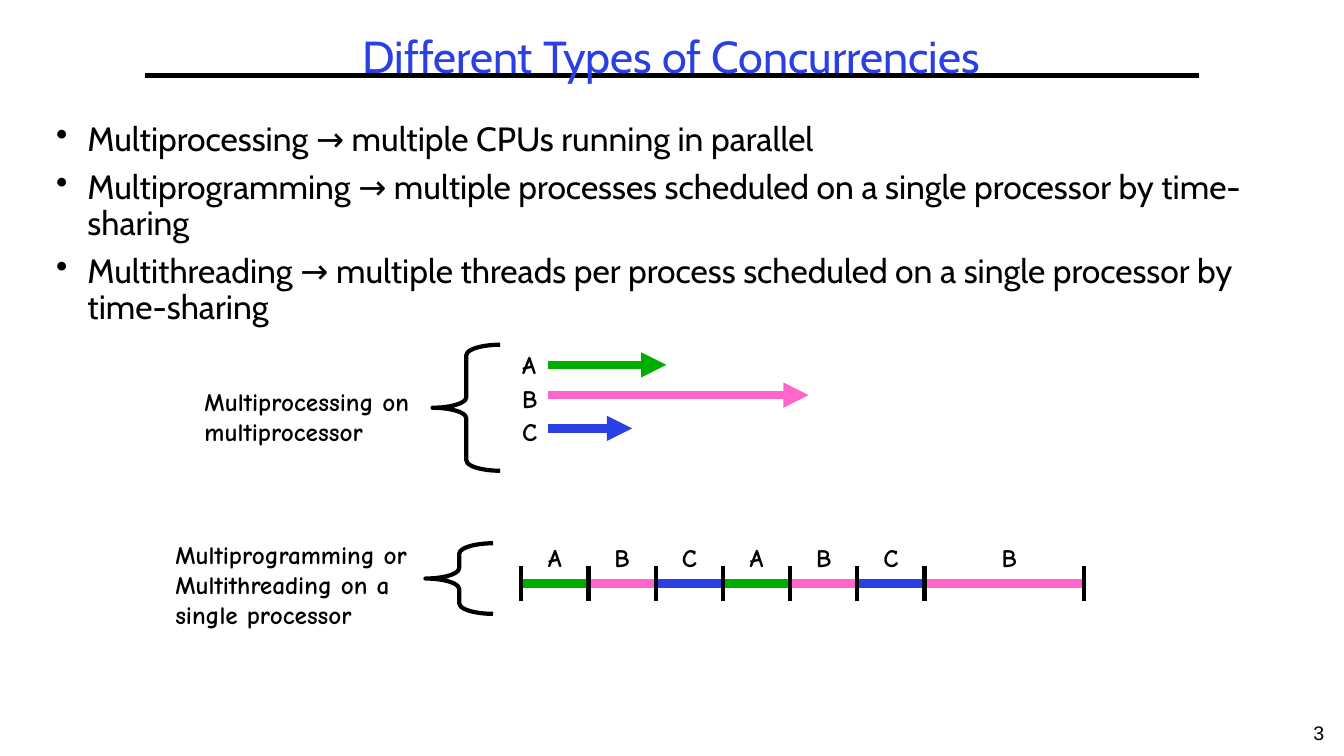
"""Build the slide on the different types of concurrencies."""
import pptx
import pptx.util
import pptx.dml.color
import pptx.enum.shapes
import pptx.enum.text
import pptx.oxml.ns
import lxml.etree

Inches = pptx.util.Inches
ALIGN = pptx.enum.text.PP_ALIGN

THEME = {
    "ink": "000000", "title": "2A40E2",
    "A": "00AE00", "B": "FF66CC", "C": "2A40E2",
    "heading_font": "Cabin", "label_font": "Comic Neue", "number_font": "Arial",
    "title_size": 32, "body_size": 24, "label_size": 18, "number_size": 14,
    "thin": 3, "thick": 6,
}

TITLE = "Different Types of Concurrencies"
BULLETS = [
    "Multiprocessing → multiple CPUs running in parallel",
    "Multiprogramming → multiple processes scheduled on a single processor by time-sharing",
    "Multithreading → multiple threads per process scheduled on a single processor by time-sharing",
]
PAGE_NUMBER = "3"
CAPTIONS = [
    (["Multiprocessing on", "multiprocessor"], (1.93, 3.78, 2.43, 0.71)),
    (["Multiprogramming or", "Multithreading on a", "single processor"], (1.64, 5.3, 2.7, 1.01)),
]
BRACES = [(4.29, 3.42, 0.67, 1.25), (4.22, 5.39, 0.67, 0.7)]
PARALLEL_RUNS = [("A", 3.62, 1.17), ("B", 3.92, 2.58), ("C", 4.25, 0.83)]
RUN_LEFT, RUN_LABEL_LEFT, RUN_LABEL_TOP, RUN_LABEL_STEP = 5.44, 5.08, 3.42, 0.33

SLOT, LAST_SLOT = 2 / 3, 1.58
TIME_SLICES = [(name, SLOT, SLOT / 2) for name in "ABCABC"] + [("B", LAST_SLOT, 0.84)]
TIMELINE_LEFT, TIMELINE_Y, TICK_HALF = 5.17, 5.79, 0.17
SLICE_LABEL_TOP, LABEL_WIDTH, LABEL_HEIGHT = 5.33, 0.38, 0.4


def rgb(name):
    return pptx.dml.color.RGBColor.from_string(THEME[name])


def add_text(slide, lines, box, font, size, color="ink", bold=False,
             align=ALIGN.LEFT, wrap=True, spacing=None, bullet=False):
    frame = slide.shapes.add_textbox(*map(Inches, box)).text_frame
    frame.word_wrap = wrap
    frame.text = "\n".join(lines)
    for index, paragraph in enumerate(frame.paragraphs):
        paragraph.alignment = align
        if spacing:
            paragraph.line_spacing = spacing
        if bullet:
            if index:
                paragraph.space_before = pptx.util.Pt(8)
            properties = paragraph._p.get_or_add_pPr()
            properties.set("marL", str(Inches(0.31)))
            properties.set("indent", str(Inches(-0.31)))
            mark = lxml.etree.SubElement(properties, pptx.oxml.ns.qn("a:buChar"))
            mark.set("char", "•")
        for run in paragraph.runs:
            run.font.name = THEME[font]
            run.font.size = pptx.util.Pt(THEME[size])
            run.font.bold = bold
            run.font.color.rgb = rgb(color)


def add_label(slide, lines, box, align=ALIGN.LEFT):
    add_text(slide, lines, box, "label_font", "label_size", bold=True, align=align, wrap=False)


def add_line(slide, start, end, color="ink", weight="thin", arrow=False):
    line = slide.shapes.add_connector(
        pptx.enum.shapes.MSO_CONNECTOR.STRAIGHT, *map(Inches, start + end))
    line.line.color.rgb = rgb(color)
    line.line.width = pptx.util.Pt(THEME[weight])
    lxml.etree.SubElement(line._element.spPr, pptx.oxml.ns.qn("a:effectLst"))
    if arrow:
        head = lxml.etree.SubElement(line.line._get_or_add_ln(), pptx.oxml.ns.qn("a:tailEnd"))
        head.set("type", "triangle")


def add_brace(slide, box):
    brace = slide.shapes.add_shape(pptx.enum.shapes.MSO_SHAPE.LEFT_BRACE, *map(Inches, box))
    brace.adjustments[0] = 0.156
    brace.shadow.inherit = False
    brace.fill.background()
    brace.line.color.rgb = rgb("ink")
    brace.line.width = pptx.util.Pt(THEME["thin"])


def add_parallel_runs(slide):
    for row, (name, y, length) in enumerate(PARALLEL_RUNS):
        label_top = RUN_LABEL_TOP + row * RUN_LABEL_STEP
        add_label(slide, [name], (RUN_LABEL_LEFT, label_top, LABEL_WIDTH, LABEL_HEIGHT))
        add_line(slide, (RUN_LEFT, y), (RUN_LEFT + length, y), name, "thick", arrow=True)


def add_timeline(slide):
    ticks = [TIMELINE_LEFT]
    for name, width, label_centre in TIME_SLICES:
        left = ticks[-1]
        ticks.append(left + width)
        add_line(slide, (left, TIMELINE_Y), (left + width, TIMELINE_Y), name, "thick")
        label_left = left + label_centre - LABEL_WIDTH / 2
        add_label(slide, [name], (label_left, SLICE_LABEL_TOP, LABEL_WIDTH, LABEL_HEIGHT),
                  ALIGN.CENTER)
    for x in ticks:
        add_line(slide, (x, TIMELINE_Y - TICK_HALF), (x, TIMELINE_Y + TICK_HALF))


def main():
    deck = pptx.Presentation()
    deck.slide_width, deck.slide_height = Inches(13.33), Inches(7.5)
    slide = deck.slides.add_slide(deck.slide_layouts[6])
    add_line(slide, (1.44, 0.75), (11.89, 0.75))
    add_text(slide, [PAGE_NUMBER], (12.83, 7.1, 0.5, 0.4), "number_font", "number_size",
             align=ALIGN.CENTER)
    add_text(slide, [TITLE], (0.46, 0.3, 12.4, 0.58), "heading_font", "title_size", "title",
             align=ALIGN.CENTER, spacing=0.9)
    add_text(slide, BULLETS, (0.46, 1.17, 12.4, 5.62), "heading_font", "body_size",
             spacing=0.9, bullet=True)
    add_timeline(slide)
    add_parallel_runs(slide)
    for lines, box in CAPTIONS:
        add_label(slide, lines, box)
    for box in BRACES:
        add_brace(slide, box)
    deck.save("out.pptx")


if __name__ == "__main__":
    main()
